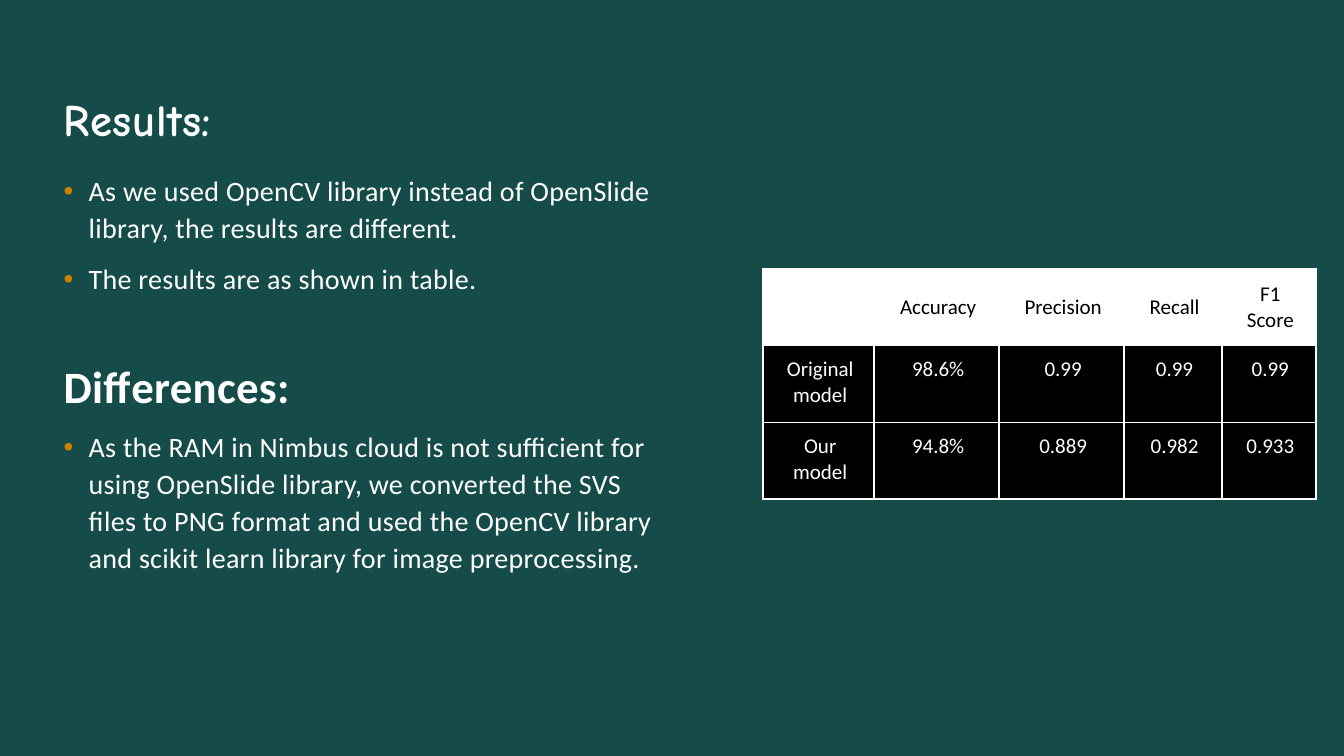
from pptx import Presentation, util as u
from pptx.dml.color import RGBColor
from pptx.enum import shapes, text
from pptx.oxml import parse_xml
from pptx.oxml.ns import nsdecls

COLORS = {
    "background": "0B2827",
    "panel": "154C4A",
    "bullet": "CE7F01",
    "white": "FFFFFF",
    "black": "000000",
}
FONTS = {
    "title": {"name": "Comic Neue", "size": u.Pt(32), "bold": True},
    "heading": {"name": "Calibri", "size": u.Pt(32), "bold": True},
    "body": {"name": "Calibri", "size": u.Pt(20), "bold": False},
    "cell": {"name": "Calibri", "size": u.Pt(15), "bold": False},
}
FRAME = {
    "margin_left": 0,
    "margin_top": 0,
    "margin_right": 0,
    "margin_bottom": 0,
    "word_wrap": True,
    "auto_size": text.MSO_AUTO_SIZE.NONE,
}
CELL = {
    "margin_left": u.Inches(0.14),
    "margin_top": u.Inches(0.11),
    "margin_right": u.Inches(0.11),
    "margin_bottom": u.Inches(0.11),
}
BODY = [
    ("body", "As we used OpenCV library instead of OpenSlide library, the results are different."),
    ("body", "The results are as shown in table."),
    ("heading", "Differences:"),
    ("body", "As the RAM in Nimbus cloud is not sufficient for using OpenSlide library, "
             "we converted the SVS files to PNG format and used the OpenCV library and "
             "scikit learn library for image preprocessing."),
]
SCORES = [
    ["", "Accuracy", "Precision", "Recall", "F1 Score"],
    ["Original model", "98.6%", "0.99", "0.99", "0.99"],
    ["Our model", "94.8%", "0.889", "0.982", "0.933"],
]
COLUMN_WIDTHS = [1.1, 1.24, 1.24, 0.97, 0.93]
ROW_HEIGHT = 0.76


def apply(target, values):
    for name, value in values.items():
        setattr(target, name, value)


def color(name):
    return RGBColor.from_string(COLORS[name])


class SlideBuilder:
    def __init__(self, presentation):
        self.presentation = presentation
        self.slide = presentation.slides.add_slide(presentation.slide_layouts[1])

    def fill(self, target, name):
        target.fill.solid()
        target.fill.fore_color.rgb = color(name)

    def place(self, shape, left, top, width, height):
        sides = ("left", "top", "width", "height")
        apply(shape, dict(zip(sides, map(u.Inches, (left, top, width, height)))))

    def add_words(self, paragraph, words, style, ink="white", spacing=0):
        run = paragraph.add_run()
        run.text = words
        apply(run.font, FONTS[style])
        run.font.color.rgb = color(ink)
        if spacing:
            run.font._element.set("spc", str(spacing))

    def background(self):
        self.fill(self.slide.background, "background")
        panel = self.slide.shapes.add_shape(
            shapes.MSO_SHAPE.RECTANGLE, 0, 0,
            self.presentation.slide_width, self.presentation.slide_height)
        self.fill(panel, "panel")
        panel.line.fill.background()
        panel.shadow.inherit = False
        self.slide.shapes.title._element.addprevious(panel._element)

    def title(self, words, *box):
        title = self.slide.shapes.title
        self.place(title, *box)
        apply(title.text_frame, FRAME)
        title.text_frame.vertical_anchor = text.MSO_ANCHOR.MIDDLE
        paragraph = title.text_frame.paragraphs[0]
        apply(paragraph, {"alignment": text.PP_ALIGN.LEFT, "line_spacing": 0.88})
        self.add_words(paragraph, words, "title", spacing=40)

    def bullet(self, paragraph, shown):
        properties = paragraph._element.get_or_add_pPr()
        indent = u.Inches(0.25) if shown else 0
        properties.set("marL", str(indent))
        properties.set("indent", str(-indent))
        if shown:
            marks = [f'<a:buClr {nsdecls("a")}><a:srgbClr val="{COLORS["bullet"]}"/></a:buClr>',
                     f'<a:buFont {nsdecls("a")} typeface="Arial"/>',
                     f'<a:buChar {nsdecls("a")} char="•"/>']
        else:
            marks = [f'<a:buNone {nsdecls("a")}/>']
        for mark in marks:
            properties.append(parse_xml(mark))

    def body(self, items, *box):
        body = self.slide.placeholders[1]
        self.place(body, *box)
        frame = body.text_frame
        apply(frame, FRAME)
        frame.vertical_anchor = text.MSO_ANCHOR.TOP
        for index, (style, words) in enumerate(items):
            paragraph = frame.add_paragraph() if index else frame.paragraphs[0]
            gap = u.Pt(41.5 if style == "heading" else 10)
            apply(paragraph, {"alignment": text.PP_ALIGN.LEFT, "line_spacing": 1.1,
                              "space_before": gap, "space_after": u.Pt(0)})
            self.bullet(paragraph, style == "body")
            self.add_words(paragraph, words, style, spacing=20)

    def borders(self, cell, top, bottom):
        properties = cell._tc.get_or_add_tcPr()
        widths = {"L": 1.5, "R": 1.5, "T": top, "B": bottom}
        for index, (side, width) in enumerate(widths.items()):
            properties.insert(index, parse_xml(
                f'<a:ln{side} {nsdecls("a")} w="{u.Pt(width)}"><a:solidFill>'
                f'<a:srgbClr val="{COLORS["white"]}"/></a:solidFill></a:ln{side}>'))

    def table(self, rows, left, top):
        last = len(rows) - 1
        table = self.slide.shapes.add_table(
            len(rows), len(COLUMN_WIDTHS), u.Inches(left), u.Inches(top),
            u.Inches(sum(COLUMN_WIDTHS)), u.Inches(ROW_HEIGHT * len(rows))).table
        table.horz_banding = False
        for column, width in zip(table.columns, COLUMN_WIDTHS):
            column.width = u.Inches(width)
        for index, (row, values) in enumerate(zip(table.rows, rows)):
            row.height = u.Inches(ROW_HEIGHT)
            header = index == 0
            fill, ink = ("white", "black") if header else ("black", "white")
            for cell, words in zip(row.cells, values):
                apply(cell, CELL)
                cell.vertical_anchor = text.MSO_ANCHOR.MIDDLE if header else text.MSO_ANCHOR.TOP
                self.fill(cell, fill)
                self.borders(cell, 1.5 if header else 0.5, 1.5 if index == last else 0.5)
                if words:
                    paragraph = cell.text_frame.paragraphs[0]
                    paragraph.alignment = text.PP_ALIGN.CENTER
                    self.add_words(paragraph, words, "cell", ink)


def main():
    presentation = Presentation()
    presentation.slide_width = u.Inches(13.33)
    presentation.slide_height = u.Inches(7.5)
    builder = SlideBuilder(presentation)
    builder.background()
    builder.title("Results:", 0.63, 0.13, 5.62, 2.17)
    builder.body(BODY, 0.63, 1.69, 5.84, 5.31)
    builder.table(SCORES, 7.57, 2.67)
    presentation.save("out.pptx")


if __name__ == "__main__":
    main()
